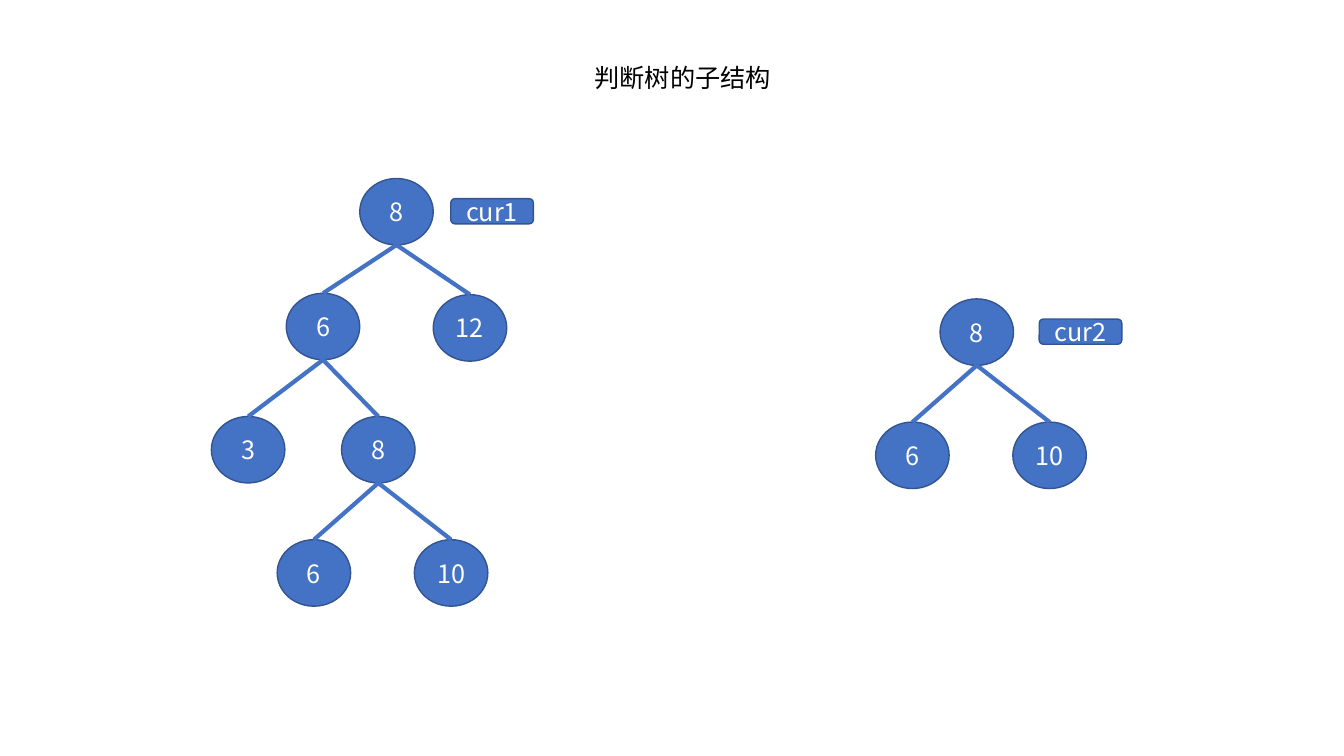
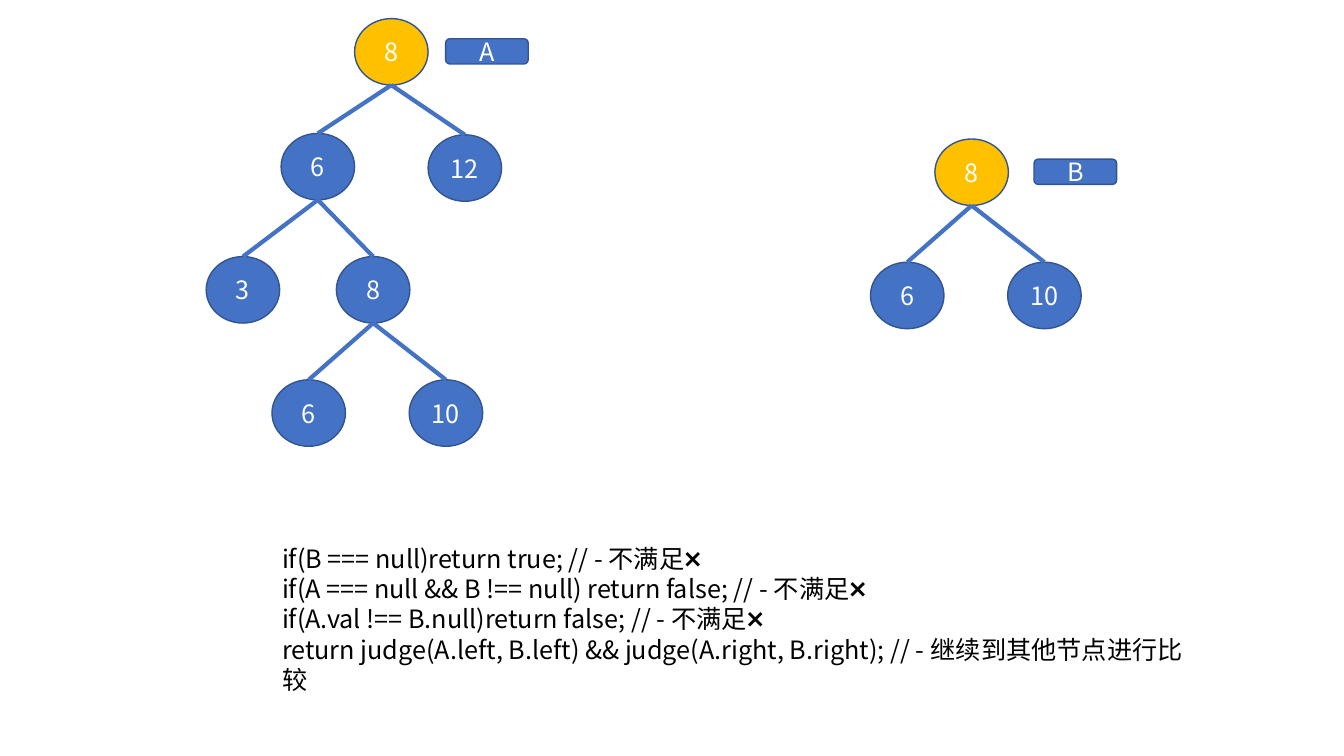
from dataclasses import dataclass

from lxml.etree import SubElement
from pptx import Presentation
from pptx.dml.color import RGBColor
from pptx.enum.shapes import MSO_CONNECTOR as Connector, MSO_SHAPE as Preset
from pptx.enum.text import MSO_ANCHOR as Anchor, PP_ALIGN as Align
from pptx.oxml.ns import qn
from pptx.util import Pt


@dataclass(frozen=True)
class Theme:
    blue: RGBColor = RGBColor.from_string("4472C4")
    outline: RGBColor = RGBColor.from_string("325491")
    amber: RGBColor = RGBColor.from_string("FFC000")
    white: RGBColor = RGBColor.from_string("FFFFFF")
    black: RGBColor = RGBColor.from_string("000000")
    font: str = "Noto Sans CJK SC"
    text_size: float = 18
    outline_width: float = 1
    edge_width: float = 3


@dataclass(frozen=True)
class Node:
    value: str
    dx: float = 0
    dy: float = 0
    children: tuple = ()


THEME = Theme()
NODE_WIDTH, NODE_HEIGHT = 52.5, 47.5
LABEL_WIDTH, LABEL_HEIGHT, LABEL_DROP = 59, 18, 14.4

PAIR = (Node("6", -46, 88), Node("10", 52, 88))
SMALL_TREE = Node("8", children=PAIR)
LARGE_TREE = Node("8", children=(
    Node("6", -52.5, 82, (Node("3", -53.5, 88), Node("8", 39.5, 88, PAIR))),
    Node("12", 52.5, 83),
))

CODE_LINES = (
    "if(B === null)return true; // - 不满足❌",
    "if(A === null && B !== null) return false; // - 不满足❌",
    "if(A.val !== B.null)return false; // - 不满足❌",
    "return judge(A.left, B.left) && judge(A.right, B.right); // - 继续到其他节点进行比较",
)


def write_paragraph(paragraph, text, color, align):
    paragraph.text = text
    paragraph.alignment = align
    font = paragraph.font
    font.size = Pt(THEME.text_size)
    font.color.rgb = color
    font.name = THEME.font
    properties = paragraph._p.find(f".//{qn('a:defRPr')}")
    SubElement(properties, qn("a:ea"), typeface=THEME.font)


def add_text(slide, left, top, width, height, lines, wrap):
    frame = slide.shapes.add_textbox(Pt(left), Pt(top), Pt(width), Pt(height)).text_frame
    frame.word_wrap = wrap
    for index, line in enumerate(lines):
        paragraph = frame.add_paragraph() if index else frame.paragraphs[0]
        write_paragraph(paragraph, line, THEME.black, Align.LEFT)


def add_block(slide, preset, left, top, width, height, text, fill):
    shape = slide.shapes.add_shape(preset, Pt(left), Pt(top), Pt(width), Pt(height))
    shape.shadow.inherit = False
    shape.fill.solid()
    shape.fill.fore_color.rgb = fill
    shape.line.color.rgb = THEME.outline
    shape.line.width = Pt(THEME.outline_width)
    shape.text_frame.vertical_anchor = Anchor.MIDDLE
    write_paragraph(shape.text_frame.paragraphs[0], text, THEME.white, Align.CENTER)


def add_edge(slide, start, end):
    points = (Pt(value) for value in (*start, *end))
    edge = slide.shapes.add_connector(Connector.STRAIGHT, *points)
    edge.line.color.rgb = THEME.blue
    edge.line.width = Pt(THEME.edge_width)
    SubElement(edge._element.spPr, qn("a:effectLst"))


def add_node(slide, node, left, top, fill):
    add_block(slide, Preset.OVAL, left, top, NODE_WIDTH, NODE_HEIGHT, node.value, fill)
    center = left + NODE_WIDTH / 2
    for child in node.children:
        add_node(slide, child, left + child.dx, top + child.dy, THEME.blue)
        add_edge(slide, (center, top + NODE_HEIGHT), (center + child.dx, top + child.dy))


def add_tree(slide, root, left, top, label, label_offset, root_fill):
    add_node(slide, root, left, top, root_fill)
    add_block(slide, Preset.ROUNDED_RECTANGLE, left + label_offset, top + LABEL_DROP,
              LABEL_WIDTH, LABEL_HEIGHT, label, THEME.blue)


def add_tree_pair(slide, left, top, labels, root_fill):
    add_tree(slide, LARGE_TREE, left, top, labels[0], 65, root_fill)
    add_tree(slide, SMALL_TREE, left + 414.5, top + 86, labels[1], 70.8, root_fill)


def build_overview(slide):
    add_text(slide, 417.6, 41, 142, 29, ("判断树的子结构",), False)
    add_tree_pair(slide, 257, 127.5, ("cur1", "cur2"), THEME.blue)


def build_comparison(slide):
    add_tree_pair(slide, 253.3, 13.3, ("A", "B"), THEME.amber)
    add_text(slide, 194.4, 384.5, 669.6, 94.3, CODE_LINES, True)


def main():
    presentation = Presentation()
    presentation.slide_width, presentation.slide_height = Pt(960), Pt(540)
    blank = presentation.slide_layouts[6]
    for build in (build_overview, build_comparison):
        build(presentation.slides.add_slide(blank))
    presentation.save("out.pptx")


main()
